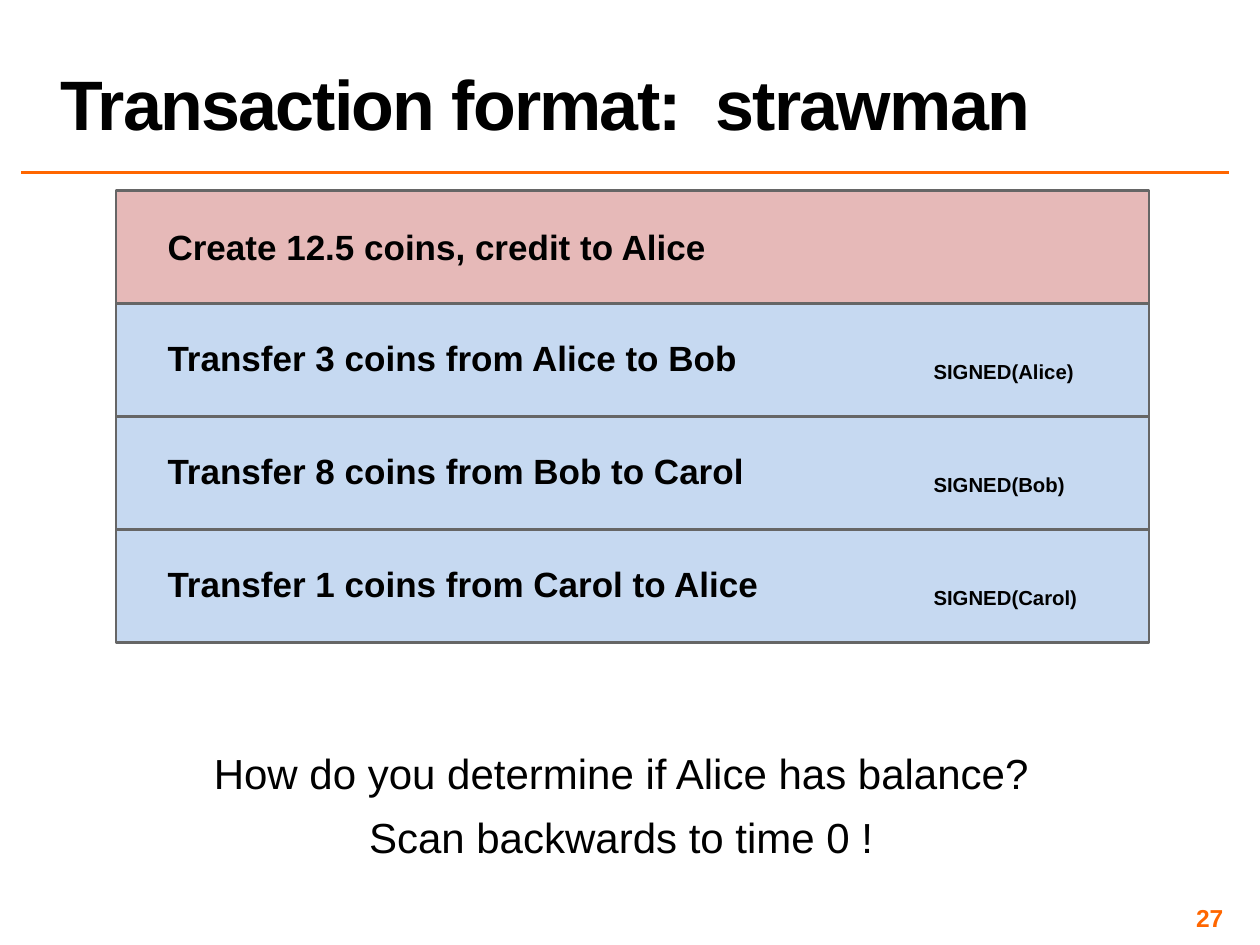
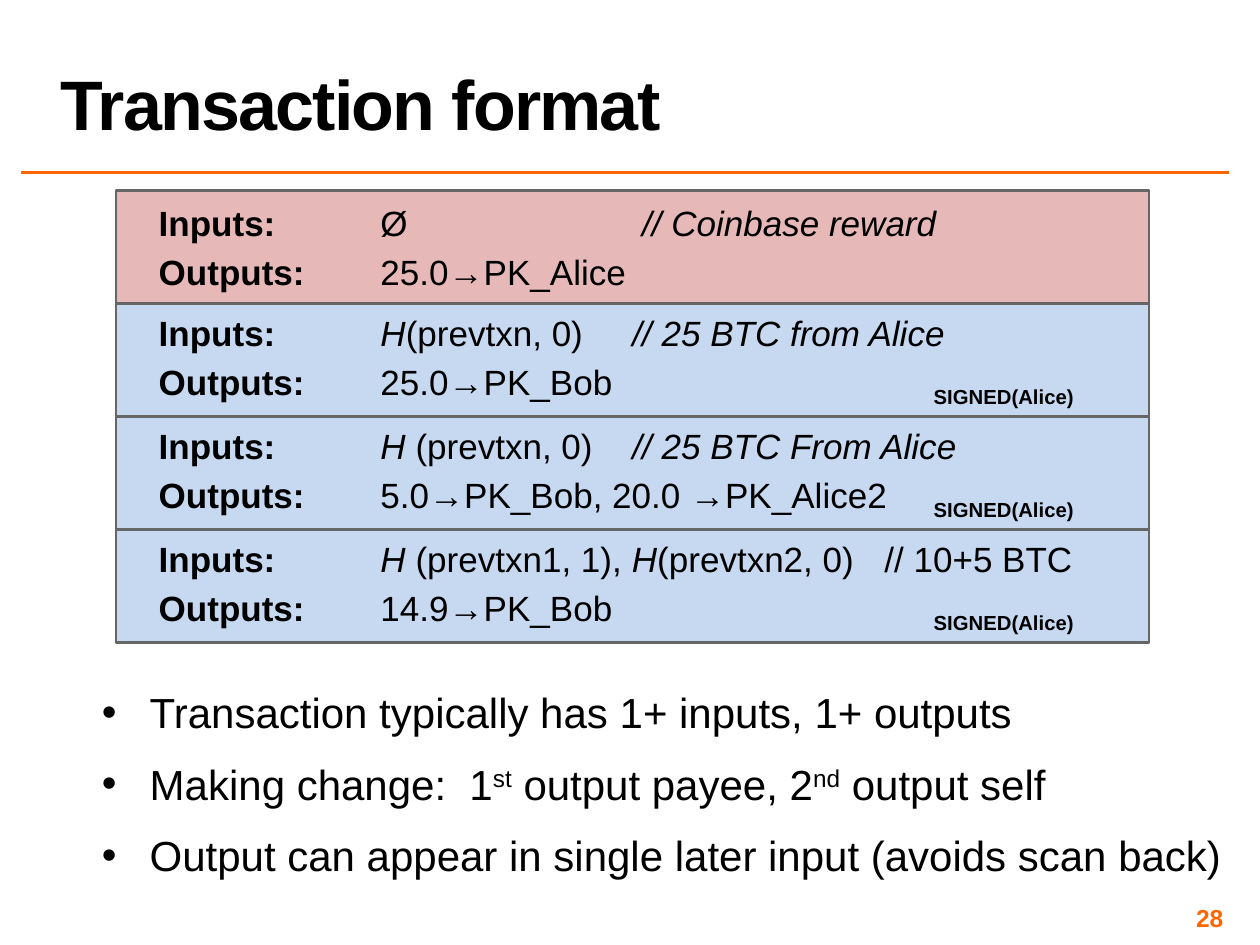
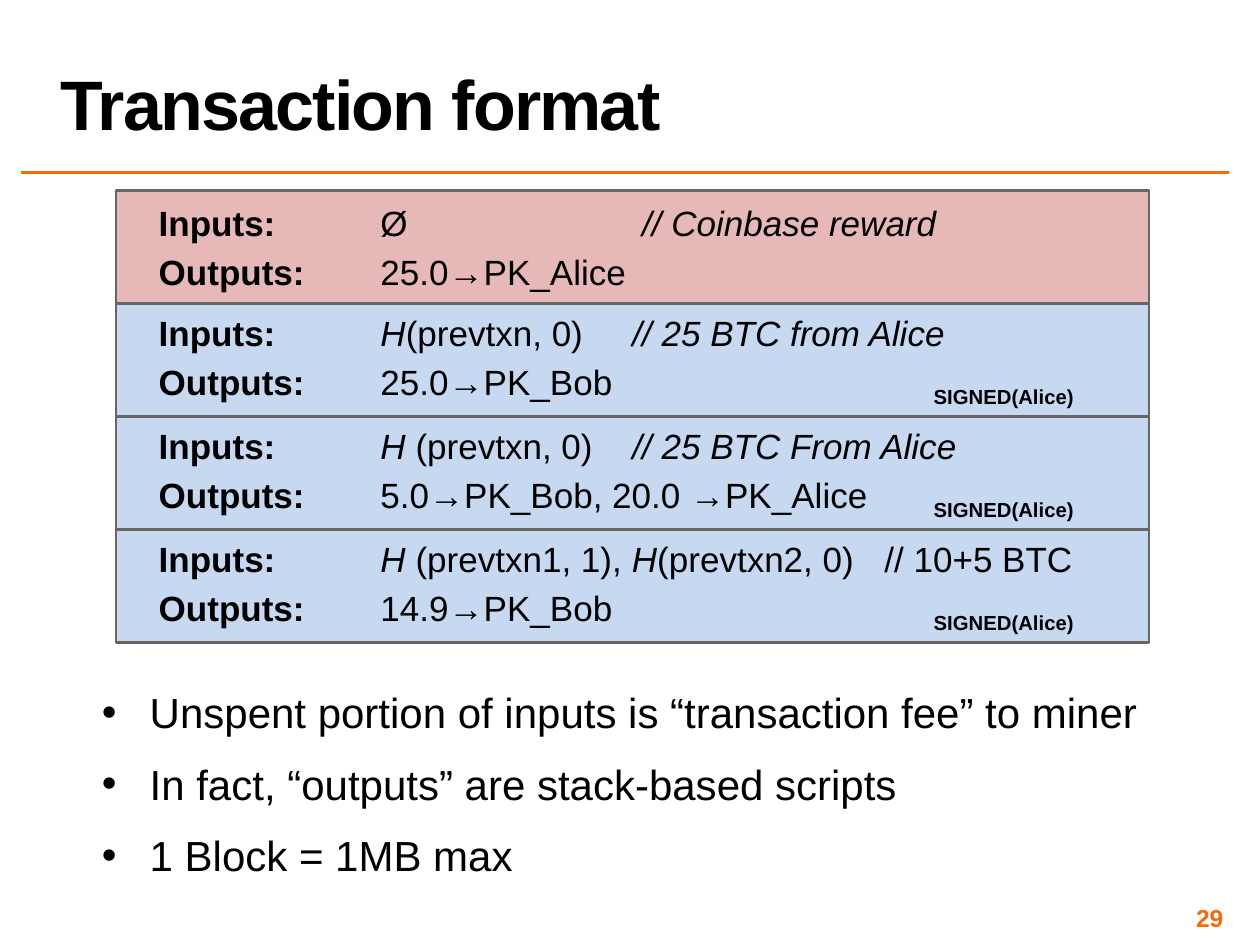
from lxml.etree import SubElement
from pptx import Presentation
from pptx.dml.color import RGBColor
from pptx.enum.shapes import MSO_CONNECTOR, MSO_SHAPE
from pptx.enum.text import MSO_ANCHOR, MSO_AUTO_SIZE, PP_ALIGN
from pptx.oxml.ns import qn
from pptx.util import Inches, Pt

BLACK = RGBColor(0x00, 0x00, 0x00)
ORANGE = RGBColor(0xFF, 0x66, 0x00)
GRAY = RGBColor(0x66, 0x66, 0x66)
PINK = RGBColor(0xE6, 0xB9, 0xB8)
BLUE = RGBColor(0xC6, 0xD9, 0xF1)

FONT = "Arial"
LEDGER_LEFT, LEDGER_TOP = 0.92, 1.51
LEDGER_WIDTH, LEDGER_HEIGHT = 8.2, 3.59
INPUT_STOPS = (1.76, 3.76, 5.76)
OUTPUT_STOPS = (1.76, 6.15)
SIGNATURE_STOPS = (6.08,)

PLAIN = {}
BOLD = {"bold": True}
ITALIC = {"italic": True}
SIGNATURE = {"bold": True, "baseline": -25}
SUPERSCRIPT = {"baseline": 30}

STRAWMAN = [
    ("Create 12.5 coins, credit to Alice", None),
    ("Transfer 3 coins from Alice to Bob", "Alice"),
    ("Transfer 8 coins from Bob to Carol", "Bob"),
    ("Transfer 1 coins from Carol to Alice", "Carol"),
]


def apply_format(target, formats):
    for attribute, value in formats.items():
        setattr(target, attribute, value)


def add_run(paragraph, text, size, color=BLACK, baseline=0, spacing=0, **style):
    run = paragraph.add_run()
    run.text = text
    apply_format(run.font, {"name": FONT, "size": Pt(size), **style})
    run.font.color.rgb = color
    properties = run.font._element
    if baseline:
        properties.set("baseline", str(baseline * 1000))
    if spacing:
        properties.set("spc", str(spacing * 100))


def add_tab_stops(paragraph, stops):
    tab_list = SubElement(paragraph._p.get_or_add_pPr(), qn("a:tabLst"))
    for stop in stops:
        SubElement(tab_list, qn("a:tab"), pos=str(Inches(stop)), algn="l")


def add_bullet(paragraph):
    properties = paragraph._p.get_or_add_pPr()
    properties.set("marL", str(Inches(0.38)))
    properties.set("indent", str(Inches(-0.38)))
    SubElement(properties, qn("a:buFont"), typeface=FONT)
    SubElement(properties, qn("a:buChar"), char="•")


def next_paragraph(frame, index):
    return frame.add_paragraph() if index else frame.paragraphs[0]


def set_frame(frame, inset=0.1, **formats):
    margins = {f"margin_{side}": Inches(inset)
               for side in ("left", "top", "right", "bottom")}
    apply_format(frame, {"word_wrap": True, "auto_size": MSO_AUTO_SIZE.NONE,
                         **margins, **formats})


def add_text_box(slide, left, top, width, height, **formats):
    box = slide.shapes.add_textbox(
        Inches(left), Inches(top), Inches(width), Inches(height))
    set_frame(box.text_frame, **formats)
    return box.text_frame


def add_title(slide, text):
    title = slide.shapes.title
    apply_format(title, {"left": Inches(0.38), "top": Inches(0.02),
                         "width": Inches(9.37), "height": Inches(1.17)})
    set_frame(title.text_frame, vertical_anchor=MSO_ANCHOR.BOTTOM,
              margin_top=Inches(0.05), margin_bottom=Inches(0.05))
    heading = title.text_frame.paragraphs[0]
    apply_format(heading, {"alignment": PP_ALIGN.LEFT, "line_spacing": 0.8})
    add_run(heading, text, 40, bold=True, spacing=-1)


def add_title_rule(slide):
    rule = slide.shapes.add_connector(
        MSO_CONNECTOR.STRAIGHT,
        Inches(0.17), Inches(1.37), Inches(9.75), Inches(1.37))
    rule.line.color.rgb = ORANGE
    rule.line.width = Pt(2)
    SubElement(rule._element.spPr, qn("a:effectLst"))


def add_page_number(slide, number):
    frame = add_text_box(slide, 7.42, 7.17, 2.33, 0.23, inset=0.04,
                         vertical_anchor=MSO_ANCHOR.MIDDLE)
    frame.paragraphs[0].alignment = PP_ALIGN.RIGHT
    add_run(frame.paragraphs[0], str(number), 14, ORANGE, bold=True)


def start_slide(deck, title, number):
    slide = deck.slides.add_slide(deck.slide_layouts[5])
    add_title_rule(slide)
    add_page_number(slide, number)
    add_title(slide, title)
    return slide


def add_ledger(slide, transactions, text_inset):
    row_height = LEDGER_HEIGHT / len(transactions)
    for row, lines in enumerate(transactions):
        block = slide.shapes.add_shape(
            MSO_SHAPE.RECTANGLE,
            Inches(LEDGER_LEFT), Inches(LEDGER_TOP + row * row_height),
            Inches(LEDGER_WIDTH), Inches(row_height))
        block.shadow.inherit = False
        block.fill.solid()
        block.fill.fore_color.rgb = BLUE if row else PINK
        block.line.color.rgb = GRAY
        block.line.width = Pt(1.5)
        set_frame(block.text_frame, vertical_anchor=MSO_ANCHOR.MIDDLE,
                  margin_left=Inches(text_inset))
        for index, (stops, runs) in enumerate(lines):
            line = next_paragraph(block.text_frame, index)
            add_tab_stops(line, stops)
            line.alignment = PP_ALIGN.LEFT
            if len(lines) > 1:
                line.space_after = Pt(2)
            if index:
                line.space_before = Pt(2)
            for text, style in runs:
                add_run(line, text, 20, **style)


def signature_runs(signer):
    return [("\t", BOLD), (f"SIGNED({signer})", SIGNATURE)] if signer else []


def strawman_entry(text, signer):
    return [(SIGNATURE_STOPS, [(text, BOLD), *signature_runs(signer)])]


def transaction_entry(inputs, outputs, signer="Alice"):
    return [
        (INPUT_STOPS, [("Inputs:\t", BOLD), *inputs]),
        (OUTPUT_STOPS, [("Outputs:\t", BOLD), (outputs, PLAIN),
                        *signature_runs(signer)]),
    ]


def transaction_ledger(change_key):
    return [
        transaction_entry([("Ø\t", PLAIN), (" // Coinbase reward", ITALIC)],
                          "25.0→PK_Alice", None),
        transaction_entry([("H", ITALIC), ("(prevtxn, 0)\t", PLAIN),
                           ("// 25 BTC from Alice", ITALIC)],
                          "25.0→PK_Bob"),
        transaction_entry([("H ", ITALIC), ("(prevtxn, 0)\t", PLAIN),
                           ("// 25 BTC From Alice", ITALIC)],
                          f"5.0→PK_Bob, 20.0 →{change_key}"),
        transaction_entry([("H ", ITALIC), ("(prevtxn1, 1), ", PLAIN),
                           ("H", ITALIC),
                           ("(prevtxn2, 0)\t// 10+5 BTC", PLAIN)],
                          "14.9→PK_Bob"),
    ]


def add_question(slide, question, answer):
    frame = add_text_box(slide, 1.2, 5.83, 7.64, 1.11)
    for index, text in enumerate((question, answer)):
        line = next_paragraph(frame, index)
        line.alignment = PP_ALIGN.CENTER
        add_run(line, text, 24)
    opening = frame.paragraphs[0]
    opening.space_after = Pt(8)
    opening._p.get_or_add_pPr().set("marR", str(Inches(0.18)))


def add_bullets(slide, points, height):
    frame = add_text_box(slide, 0.71, 5.35, 9.09, height)
    for index, runs in enumerate(points):
        point = next_paragraph(frame, index)
        add_bullet(point)
        point.space_after = Pt(6)
        if index:
            point.space_before = Pt(6)
        for text, style in runs:
            add_run(point, text, 24, **style)


def main():
    deck = Presentation()
    deck.slide_width, deck.slide_height = Inches(10), Inches(7.5)

    strawman = start_slide(deck, "Transaction format:  strawman", 27)
    add_ledger(strawman, [strawman_entry(*entry) for entry in STRAWMAN], 0.41)
    add_question(strawman, "How do you determine if Alice has balance?",
                 "Scan backwards to time 0 !")

    change = start_slide(deck, "Transaction format", 28)
    add_ledger(change, transaction_ledger("PK_Alice2"), 0.34)
    add_bullets(change, [
        [("Transaction typically has 1+ inputs, 1+ outputs", PLAIN)],
        [("Making change:  1", PLAIN), ("st", SUPERSCRIPT),
         (" output payee, 2", PLAIN), ("nd", SUPERSCRIPT),
         (" output self", PLAIN)],
        [("Output can appear in single later input (avoids scan back)", PLAIN)],
    ], 1.72)

    fees = start_slide(deck, "Transaction format", 29)
    add_ledger(fees, transaction_ledger("PK_Alice"), 0.34)
    add_bullets(fees, [
        [("Unspent portion of inputs is “transaction fee” to miner", PLAIN)],
        [("In fact, “outputs” are stack-based scripts", PLAIN)],
        [("1 Block = 1MB max", PLAIN)],
    ], 1.37)

    deck.save("out.pptx")


if __name__ == "__main__":
    main()
